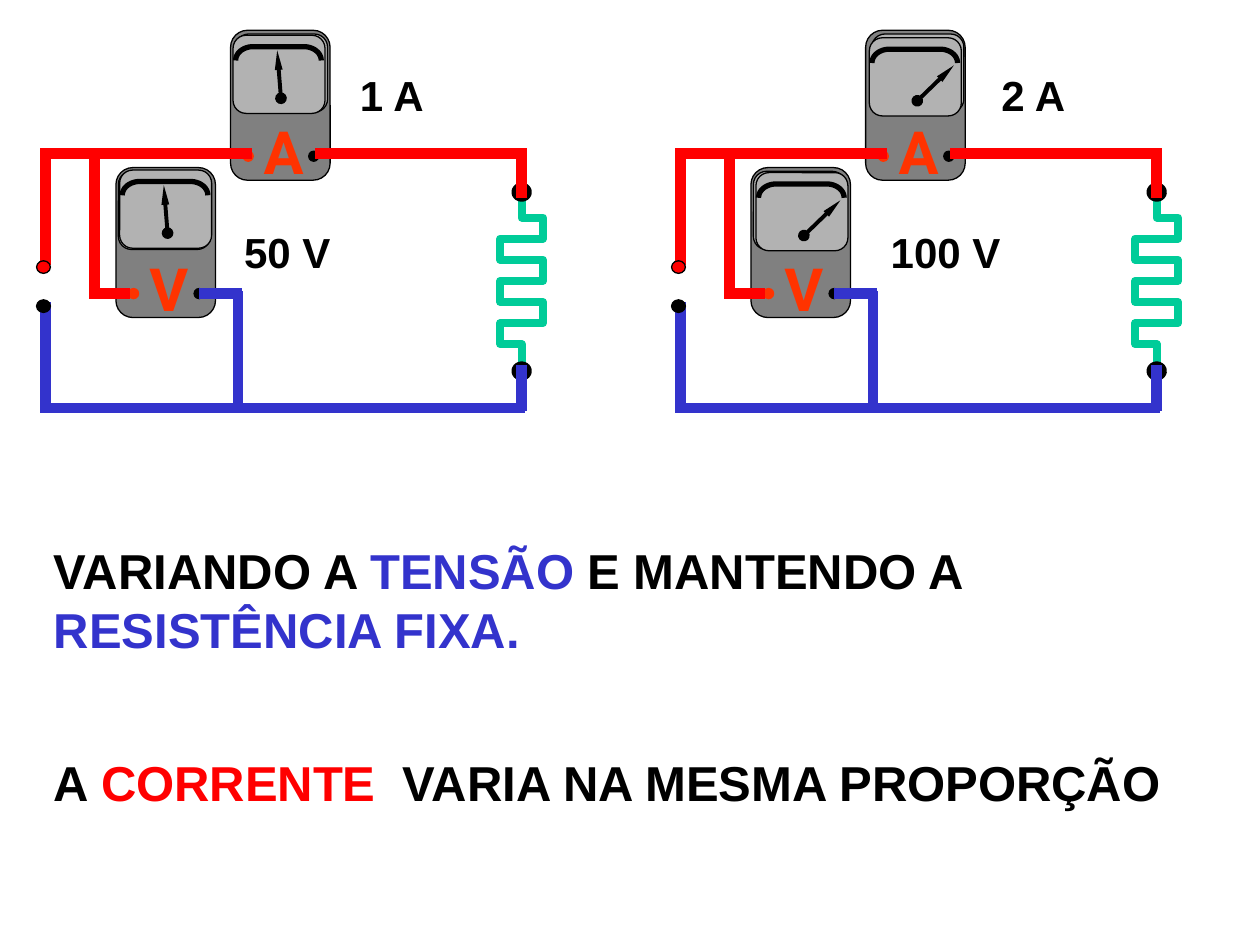
from math import cos, pi, sin

from lxml import etree
from pptx import Presentation
from pptx import util as u
from pptx.dml.color import RGBColor
from pptx.enum import shapes, text
from pptx.oxml.ns import qn

# Content: lines of (words, colour) runs
STATEMENTS = [
    ((0.33, 4.24, 7.49, 1.04), [
        [("VARIANDO A ", "black"), ("TENSÃO", "blue"), (" E MANTENDO A", "black")],
        [("RESISTÊNCIA FIXA.", "blue")],
    ]),
    ((0.33, 5.92, 9.06, 0.57), [
        [("A ", "black"), ("CORRENTE", "red"), ("  VARIA NA MESMA PROPORÇÃO", "black")],
    ]),
]
# Readings are (words, left, top, width); dials are offsets from the meter body
CIRCUITS = [
    {"left": 0, "needle": (0.35, 0.12),
     "readings": [("1 A", 2.75, 0.5, 0.72), ("50 V", 1.82, 1.75, 0.92)],
     "dials": {"A": [(0.04, 0.03), (0.02, 0.04)], "V": [(0.02, 0.03), (0.03, 0.02)]}},
    {"left": 5.04, "needle": (0.67, 0.22),
     "readings": [("2 A", 7.84, 0.5, 0.72), ("100 V", 6.96, 1.75, 1.09)],
     "dials": {"A": [(0.05, 0.03), (0.03, 0.06)], "V": [(0.02, 0.03), (0.04, 0.04)]}},
]
METERS = {"A": (1.83, 0.24), "V": (0.92, 1.33)}

# Wires of one circuit: x1, y1, x2, y2, colour
MAIN_WIRES = [
    (0.36, 1.22, 0.36, 2.1, "red"), (0.36, 2.4, 0.36, 3.28, "blue"),
    (4.14, 2.9, 4.14, 3.26, "blue"), (4.14, 1.21, 4.14, 1.57, "red"),
    (0.75, 1.24, 0.75, 2.37, "red"), (1.89, 2.31, 1.89, 3.27, "blue"),
    (0.32, 1.22, 2, 1.22, "red"), (0.32, 3.24, 4.17, 3.24, "blue"),
    (2.5, 1.22, 4.18, 1.22, "red"),
]
VOLTMETER_LEADS = [(0.75, 2.33, 1.03, 2.33, "red"), (1.58, 2.33, 1.92, 2.33, "blue")]
SOURCE_POLES = [(2.07, "red"), (2.38, "black")]

THEME = {
    "colors": {"black": "000000", "red": "FF0000", "blue": "3333CC", "orange": "FF3300",
               "body": "808080", "dial": "B2B2B2", "resistor": "00CC99"},
    "font": "Arial", "meter_font": "Roboto",
    "statement": 28, "reading": 24, "letter": 34,
    "outline": 0.75, "needle": 2.25, "arc": 3, "resistor": 4.5, "wire": 6,
}

presentation = Presentation()
presentation.slide_width, presentation.slide_height = u.Inches(10), u.Inches(7.5)
slide = presentation.slides.add_slide(presentation.slide_layouts[6])


def color(name):
    return RGBColor.from_string(THEME["colors"][name])


def set_line(line, name, width):
    line.color.rgb = color(name)
    line.width = u.Pt(width)


def add_solid(kind, box, fill, line="black", width=THEME["outline"]):
    shape = slide.shapes.add_shape(kind, *map(u.Inches, box))
    shape.shadow.inherit = False
    shape.fill.solid()
    shape.fill.fore_color.rgb = color(fill)
    set_line(shape.line, line, width)
    return shape


def add_outline(points, name, width):
    corners = [(u.Inches(x), u.Inches(y)) for x, y in points]
    builder = slide.shapes.build_freeform(*corners[0])
    builder.add_line_segments(corners[1:], close=False)
    shape = builder.convert_to_shape()
    shape.shadow.inherit = False
    shape.fill.background()
    set_line(shape.line, name, width)


def add_line(x1, y1, x2, y2, name, width=THEME["wire"]):
    line = slide.shapes.add_connector(
        shapes.MSO_CONNECTOR.STRAIGHT, *map(u.Inches, (x1, y1, x2, y2)))
    set_line(line.line, name, width)
    etree.SubElement(line._element.spPr, qn("a:effectLst"))
    return line


def add_text(box, lines, size, font=THEME["font"], align=text.PP_ALIGN.LEFT, spacing=None):
    frame = slide.shapes.add_textbox(*map(u.Inches, box)).text_frame
    frame.word_wrap = False
    frame.auto_size = text.MSO_AUTO_SIZE.SHAPE_TO_FIT_TEXT
    for index, runs in enumerate(lines):
        paragraph = frame.add_paragraph() if index else frame.paragraphs[0]
        paragraph.alignment = align
        paragraph.line_spacing = spacing
        paragraph.font.name, paragraph.font.size = font, u.Pt(size)
        paragraph.font.bold = True
        for words, name in runs:
            run = paragraph.add_run()
            run.text = words
            run.font.color.rgb = color(name)


def add_dial(left, top):
    add_solid(shapes.MSO_SHAPE.ROUNDED_RECTANGLE, (left, top, 0.73, 0.62), "dial")


def add_scale(left, top):
    """Flat arch 0.68 wide with rounded ends."""
    width, rx, ry, steps = 0.68, 0.14, 0.11, 12
    angles = [pi / 2 * step / steps for step in range(steps + 1)]
    corner = [(rx - rx * cos(a), ry - ry * sin(a)) for a in angles]
    arch = corner + [(width - x, y) for x, y in reversed(corner)]
    add_outline([(left + x, top + y) for x, y in arch], "black", THEME["arc"])


def add_needle(left, top, tip):
    needle = add_line(left + 0.38, top + 0.5, left + tip[0], top + tip[1],
                      "black", THEME["needle"])
    line_xml = needle.line._get_or_add_ln()
    etree.SubElement(line_xml, qn("a:headEnd"), type="oval")
    etree.SubElement(line_xml, qn("a:tailEnd"), type="triangle", w="sm", len="lg")


def add_meter(letter, circuit):
    left, top = METERS[letter][0] + circuit["left"], METERS[letter][1]
    body = add_solid(shapes.MSO_SHAPE.ROUNDED_RECTANGLE, (left, top, 0.79, 1.19), "body")
    body.adjustments[0] = 0.17
    for x, y in circuit["dials"][letter]:
        add_dial(left + x, top + y)
    front_left, front_top = left + x, top + y
    add_needle(front_left, front_top, circuit["needle"])
    add_scale(front_left + 0.02, front_top + 0.09)
    for x, name in ((0.1, "orange"), (0.62, "black")):
        add_solid(shapes.MSO_SHAPE.OVAL, (left + x, top + 0.96, 0.08, 0.08), name, name)
    add_text((left + 0.16, top + 0.73, 0.52, 0.56), [[(letter, "orange")]],
             THEME["letter"], THEME["meter_font"], text.PP_ALIGN.CENTER, 0.8)


def add_resistor(left):
    center, half, top, bottom, rungs = left + 4.14, 0.17, 1.56, 2.9, 8
    pitch = (bottom - top) / rungs
    points, x = [(center, bottom)], center
    for rung in range(1, rungs):
        y = bottom - rung * pitch
        side = center + half * (-1 if rung % 2 else 1)
        next_x = center if rung == rungs - 1 else side
        points += [(x, y), (next_x, y)]
        x = next_x
    add_outline(points + [(center, top)], "resistor", THEME["resistor"])
    for y in (2.91, 1.49):
        add_solid(shapes.MSO_SHAPE.OVAL, (left + 4.1, y, 0.08, 0.07), "black",
                  width=THEME["wire"])


def add_wires(wires, left):
    for x1, y1, x2, y2, name in wires:
        add_line(left + x1, y1, left + x2, y2, name)


# Statements
for box, lines in STATEMENTS:
    add_text(box, lines, THEME["statement"])

# Circuits, back to front
for circuit in CIRCUITS:
    left = circuit["left"]
    add_resistor(left)
    add_meter("A", circuit)
    add_wires(MAIN_WIRES, left)
    for y, name in SOURCE_POLES:
        add_solid(shapes.MSO_SHAPE.OVAL, (left + 0.29, y, 0.11, 0.1), name)
    add_meter("V", circuit)
    add_wires(VOLTMETER_LEADS, left)
    for words, x, y, width in circuit["readings"]:
        add_text((x, y, width, 0.5), [[(words, "black")]], THEME["reading"],
                 align=text.PP_ALIGN.CENTER)

presentation.save("out.pptx")
